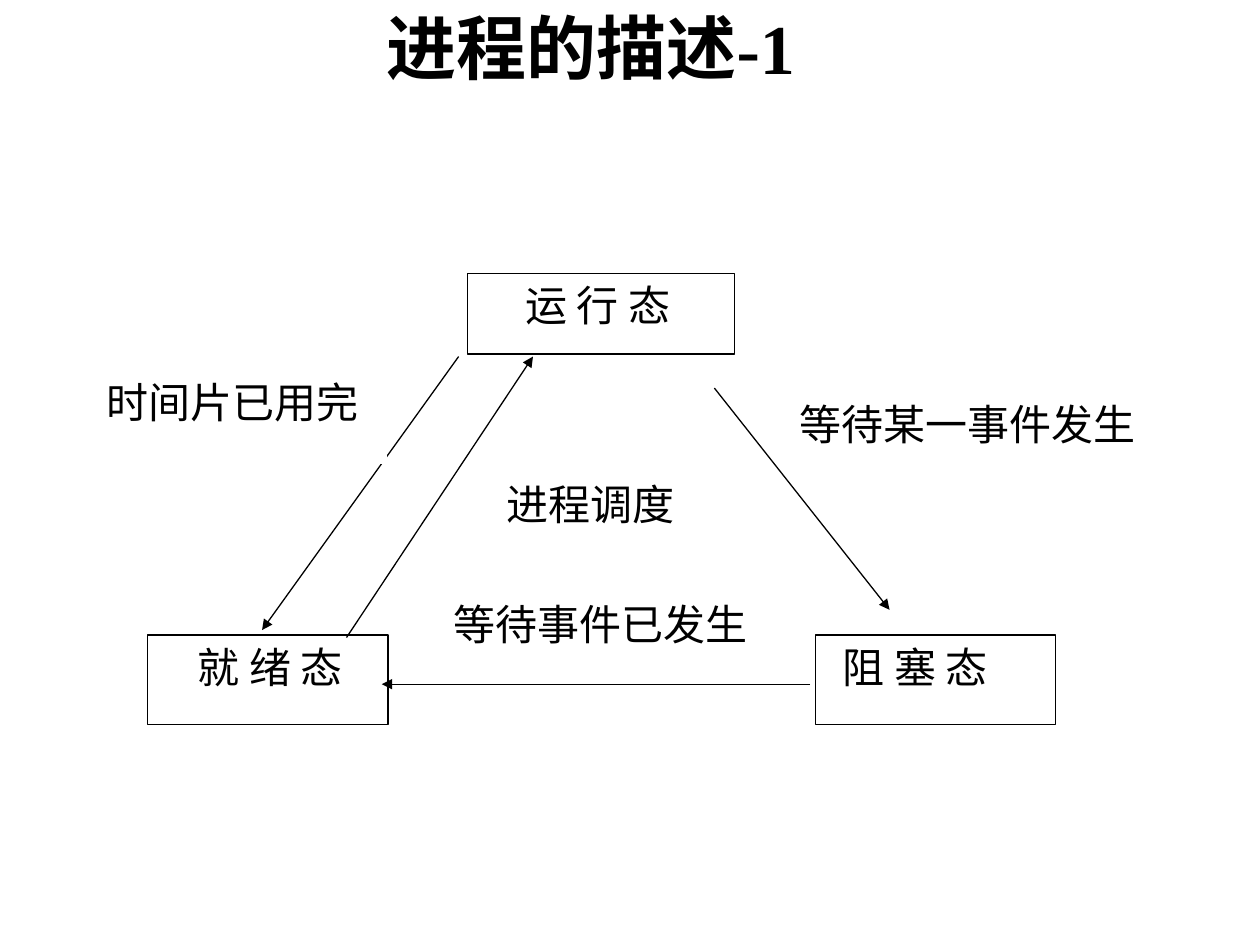
from lxml import etree
from pptx import Presentation
from pptx.dml.color import RGBColor
from pptx.enum.shapes import MSO_CONNECTOR, MSO_SHAPE
from pptx.enum.text import MSO_ANCHOR, MSO_AUTO_SIZE, PP_ALIGN
from pptx.oxml.ns import qn
from pptx.util import Inches, Pt

BLACK = RGBColor(0x00, 0x00, 0x00)
WHITE = RGBColor(0xFF, 0xFF, 0xFF)
LATIN_FONT = "Times New Roman"
CHINESE_FONT = "Noto Sans CJK SC"
RECTANGLE = MSO_SHAPE.RECTANGLE
STRAIGHT = MSO_CONNECTOR.STRAIGHT
TOP, BOTTOM = MSO_ANCHOR.TOP, MSO_ANCHOR.BOTTOM
CENTER, JUSTIFY = PP_ALIGN.CENTER, PP_ALIGN.JUSTIFY
NO_AUTOFIT = MSO_AUTO_SIZE.NONE
TITLE_ONLY_LAYOUT = 5

SLIDE_WIDTH, SLIDE_HEIGHT = Inches(10), Inches(7.5)
COLUMN = SLIDE_WIDTH / 100
ROW = SLIDE_HEIGHT / 75
LINE_WIDTH = Pt(0.75)

TITLE_BOX = (4.4, 2.5, 85, 5)
DIAGRAM_BOX = (7.5, 21.7, 85.8, 35.8)

STATES = [
    ((29.6, 0, 21.2, 6.4), 4.6, [("运 行 ", LATIN_FONT), ("态", CHINESE_FONT)]),
    ((4.2, 28.7, 19.1, 7.1), 4, [("就 绪 ", LATIN_FONT), ("态", CHINESE_FONT)]),
    ((57.2, 28.7, 19.1, 7.1), 2.2, [("阻 塞 态", CHINESE_FONT)]),
]
TRANSITIONS = [
    ((28.9, 6.6), (13.3, 28.3)),
    ((49.2, 9.1), (63.1, 26.7)),
    ((20, 28.9), (34.8, 6.6)),
    ((56.8, 32.6), (22.8, 32.6)),
]
LABELS = [
    ((31.7, 15.8, 15.9, 5), "进程调度"),
    ((0, 7.7, 23.2, 7.4), "时间片已用完"),
    ((55, 9.4, 30.8, 6.3), "等待某一事件发生"),
    ((27.5, 25.3, 25.8, 6.5), "等待事件已发生"),
]


def position(box, column, row):
    return round((box[0] + column) * COLUMN), round((box[1] + row) * ROW)


def size(columns, rows):
    return round(columns * COLUMN), round(rows * ROW)


def set_frame(text_frame, anchor, left_inset=1):
    text_frame.word_wrap = True
    text_frame.auto_size = NO_AUTOFIT
    text_frame.vertical_anchor = anchor
    text_frame.margin_left = round(left_inset * COLUMN)
    text_frame.margin_right = round(COLUMN)
    text_frame.margin_top = text_frame.margin_bottom = round(ROW / 2)


def add_run(paragraph, text, font_name, points, bold=False):
    run = paragraph.add_run()
    run.text = text
    run.font.size = Pt(points)
    run.font.bold = bold
    run.font.color.rgb = BLACK
    run.font.name = font_name
    east_asian = etree.Element(qn("a:ea"), typeface=CHINESE_FONT)
    run.font._element.find(qn("a:latin")).addnext(east_asian)


def add_title(slide, box):
    title = slide.shapes.title
    title.left, title.top = position(box, 0, 0)
    title.width, title.height = size(*box[2:])
    set_frame(title.text_frame, BOTTOM)
    paragraph = title.text_frame.paragraphs[0]
    paragraph.alignment = CENTER
    add_run(paragraph, "进程的描述-1", LATIN_FONT, 40, bold=True)


def add_text_rectangle(slide, box, place, line_color, runs, left_inset=1):
    column, row, columns, rows = place
    shape = slide.shapes.add_shape(
        RECTANGLE, *position(box, column, row), *size(columns, rows)
    )
    shape.shadow.inherit = False
    shape.fill.solid()
    shape.fill.fore_color.rgb = WHITE
    shape.line.color.rgb = line_color
    shape.line.width = LINE_WIDTH
    set_frame(shape.text_frame, TOP, left_inset)
    paragraph = shape.text_frame.paragraphs[0]
    paragraph.alignment = JUSTIFY
    for text, font_name in runs:
        add_run(paragraph, text, font_name, 24)


def add_arrow(slide, box, start, end):
    connector = slide.shapes.add_connector(
        STRAIGHT, *position(box, *start), *position(box, *end)
    )
    connector.line.color.rgb = BLACK
    connector.line.width = LINE_WIDTH
    line = connector.line._get_or_add_ln()
    etree.SubElement(line, qn("a:tailEnd"), type="triangle")
    etree.SubElement(connector._element.spPr, qn("a:effectLst"))


def add_state_diagram(slide, box):
    for place, left_inset, runs in STATES:
        add_text_rectangle(slide, box, place, BLACK, runs, left_inset)
    for start, end in TRANSITIONS:
        add_arrow(slide, box, start, end)
    for place, text in LABELS:
        add_text_rectangle(slide, box, place, WHITE, [(text, CHINESE_FONT)])


def main():
    presentation = Presentation()
    presentation.slide_width = SLIDE_WIDTH
    presentation.slide_height = SLIDE_HEIGHT
    layout = presentation.slide_layouts[TITLE_ONLY_LAYOUT]
    slide = presentation.slides.add_slide(layout)
    add_title(slide, TITLE_BOX)
    add_state_diagram(slide, DIAGRAM_BOX)
    presentation.save("out.pptx")


if __name__ == "__main__":
    main()
